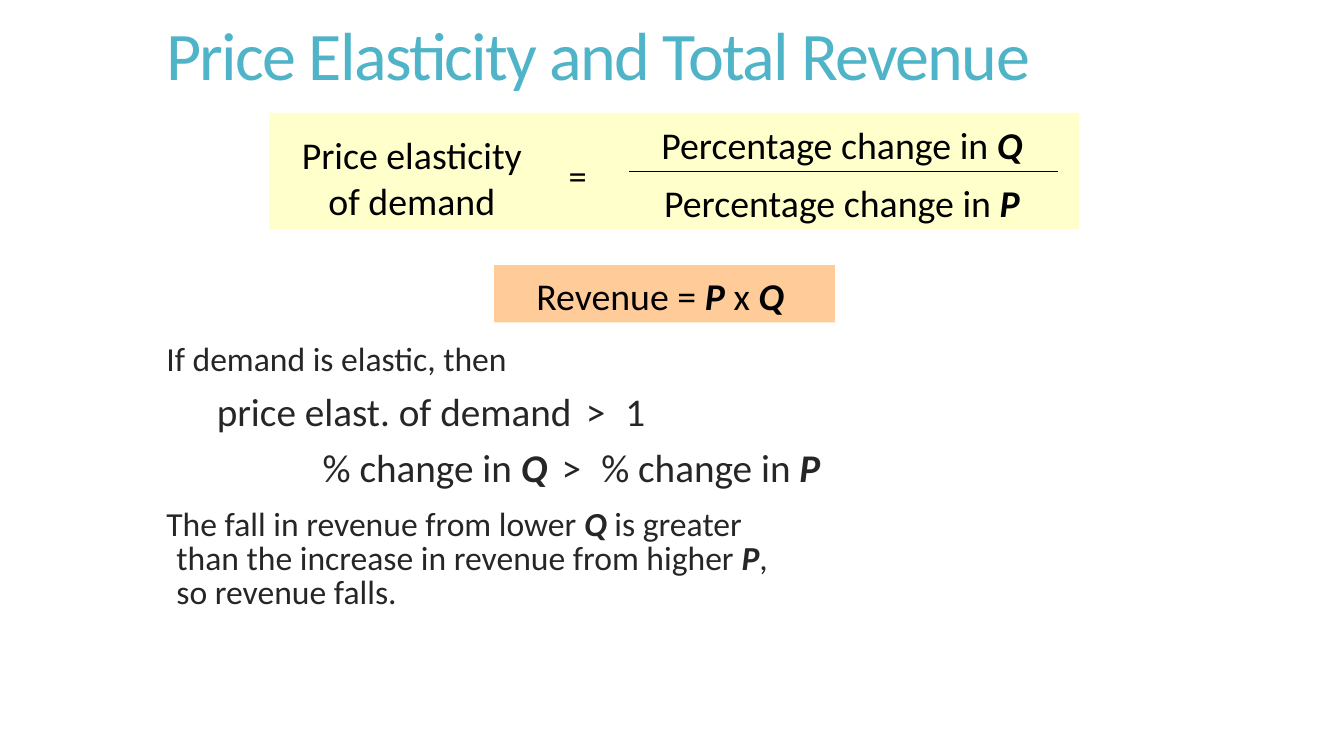
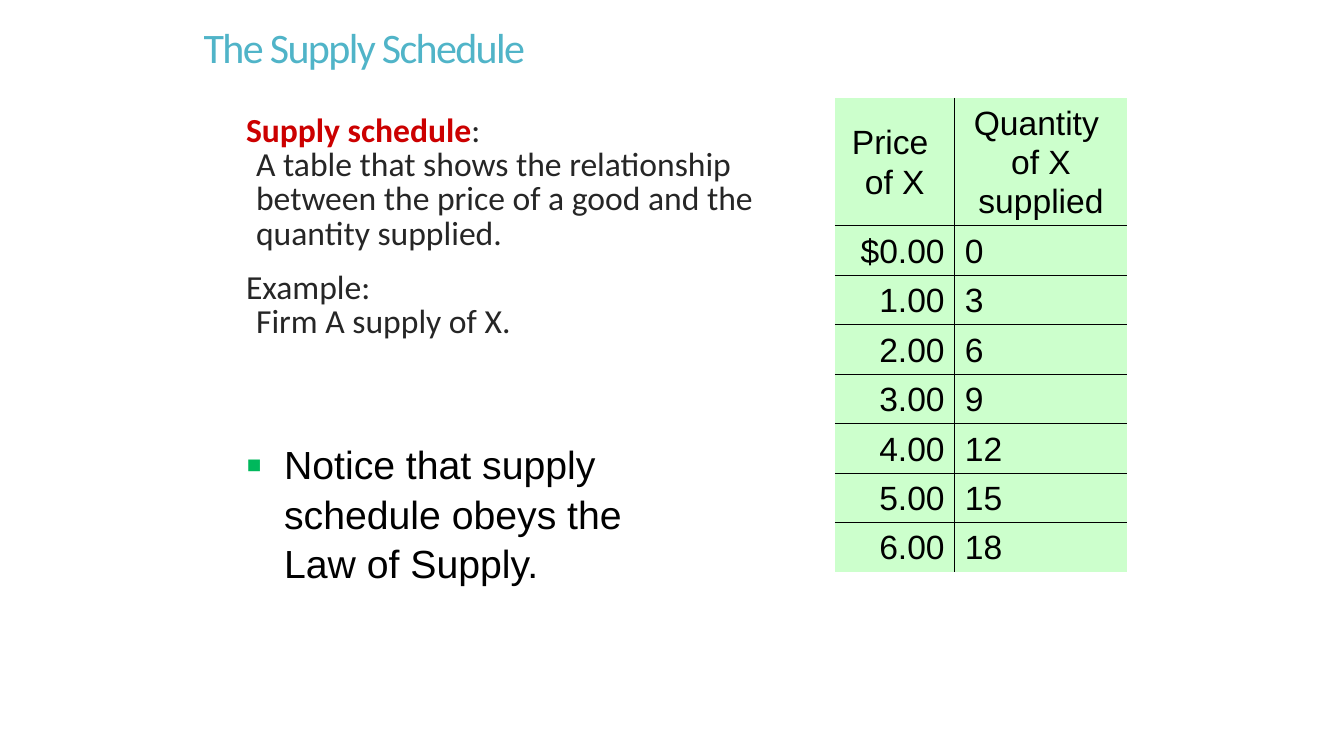
import pptx
import pptx.util
import pptx.dml.color
import pptx.enum.shapes
import pptx.enum.text
import pptx.oxml.ns
from dataclasses import dataclass
from lxml import etree

Inches = pptx.util.Inches
Pt = pptx.util.Pt
Rgb = pptx.dml.color.RGBColor.from_string
Align = pptx.enum.text.PP_ALIGN
Anchor = pptx.enum.text.MSO_ANCHOR
Kind = pptx.enum.shapes.MSO_SHAPE
qn = pptx.oxml.ns.qn


@dataclass(frozen=True)
class Theme:
    font: str = "Calibri"
    plain: str = "Arial"
    title: str = "50B4C8"
    body: str = "262626"
    ink: str = "000000"
    key: str = "CC0000"
    mark: str = "00B85C"
    cream: str = "FFFFCC"
    peach: str = "FFCC99"
    mint: str = "CCFFCC"
    head: float = 48.6
    small: float = 30
    text: float = 24
    large: float = 28
    sum: float = 27
    sign: float = 26
    tight: float = 0.85
    loose: float = 1.05


T = Theme()
EM = dict(bold=True, italic=True)
GAP = dict(track=4)
KEY = dict(bold=True, color=T.key)
SUB = dict(size=T.large, line=T.loose, before=5, level=1)

RULES = [
    (["If demand is elastic, then"], {}),
    (["price elast. of demand", (" > ", GAP), "1"], dict(SUB, left=0.5)),
    (["% change in ", ("Q", EM), (" > ", GAP), "% change in ", ("P", EM)],
     dict(SUB, left=1.55)),
    (["The fall in revenue from lower ", ("Q ", EM),
      "is greater\nthan the increase in revenue from higher ", ("P", EM),
      ",\nso revenue falls."], dict(before=13)),
]
TERMS = [
    ([("Supply schedule", KEY),
      ":\nA table that shows the relationship between the price of a good "
      "and the quantity supplied."], {}),
    (["Example:\nFirm A supply of X."], dict(before=14.4)),
]
PARTS = [
    ((2.76, 1.26, 2.65, 1), ["Price elasticity of demand"], T.sum),
    ((5.49, 1.47, 0.48, 0.53), ["="], T.sign),
    ((6.14, 1.16, 4.42, 0.55), ["Percentage change in ", ("Q", EM)], T.sum),
    ((6.14, 1.73, 4.42, 0.55), ["Percentage change in ", ("P", EM)], T.sum),
]
REVENUE = ["Revenue = ", ("P", EM), " x ", ("Q ", EM)]
NOTICE = ["Notice that supply schedule obeys the\nLaw of Supply."]
HEADS = ("Price \nof X", "Quantity \nof X supplied")
SUPPLY = [("$0.00", "0"), ("1.00", "3"), ("2.00", "6"), ("3.00", "9"),
          ("4.00", "12"), ("5.00", "15"), ("6.00", "18")]
COLS = (1.19, 1.71)
TALL, LOW = 1.27, 0.49


def write(para, bits, size=T.text, color=T.ink, font=T.font, align=Align.LEFT,
          line=1.0, before=0, left=0, hang=0, level=0, bullet=None, track=0):
    para.level = level
    para.alignment = align
    para.line_spacing = line
    para.space_before = Pt(before)
    para.space_after = Pt(0)
    props = para._p.get_or_add_pPr()
    props.set("marL", str(Inches(left)))
    props.set("indent", str(Inches(-hang)))
    if bullet:
        tint = etree.SubElement(props, qn("a:buClr"))
        etree.SubElement(tint, qn("a:srgbClr"), val=T.mark)
        etree.SubElement(props, qn("a:buSzPct"), val="120000")
        etree.SubElement(props, qn("a:buFont"), typeface=T.plain)
        etree.SubElement(props, qn("a:buChar"), char=bullet)
    else:
        etree.SubElement(props, qn("a:buNone"))
    for bit in bits:
        words, style = (bit, {}) if isinstance(bit, str) else bit
        for i, part in enumerate(words.split("\n")):
            if i:
                para.add_line_break()
            run = para.add_run()
            run.text = part
            face = run.font
            face.name, face.size = font, Pt(size)
            face.bold = style.get("bold", False)
            face.italic = style.get("italic", False)
            face.color.rgb = Rgb(style.get("color", color))
            space = style.get("track", track)
            if space:
                run._r.get_or_add_rPr().set("spc", str(round(space * 100)))


def place(shape, area):
    shape.left, shape.top, shape.width, shape.height = map(Inches, area)


def setup(shape, anchor=Anchor.TOP):
    frame = shape.text_frame
    frame.word_wrap = True
    frame.auto_size = pptx.enum.text.MSO_AUTO_SIZE.NONE
    frame.vertical_anchor = anchor
    return frame


def page(deck, title, area, size, anchor, paras, box):
    slide = deck.slides.add_slide(deck.slide_layouts[1])
    head, body = slide.placeholders
    place(head, area)
    write(setup(head, anchor).paragraphs[0], [title], size=size,
          color=T.title, line=T.tight, track=-1.2)
    place(body, box)
    frame = setup(body)
    for i, (bits, style) in enumerate(paras):
        para = frame.add_paragraph() if i else frame.paragraphs[0]
        base = dict(color=T.body, line=T.tight, left=0.1, hang=0.1)
        if "left" in style:
            base["hang"] = 0
        write(para, bits, **{**base, **style})
    return slide


def label(shapes, area, bits, **style):
    box = shapes.add_textbox(*map(Inches, area))
    write(setup(box).paragraphs[0], bits, **style)


def block(shapes, area, fill):
    rect = shapes.add_shape(Kind.RECTANGLE, *map(Inches, area))
    rect.shadow.inherit = False
    rect.fill.solid()
    rect.fill.fore_color.rgb = Rgb(fill)
    rect.line.fill.background()
    return rect


def ratio(slide):
    shapes = slide.shapes.add_group_shape().shapes
    block(shapes, (2.67, 1.12, 8.03, 1.15), T.cream)
    for area, bits, size in PARTS:
        label(shapes, area, bits, size=size, align=Align.CENTER)
    bar = shapes.add_connector(pptx.enum.shapes.MSO_CONNECTOR.STRAIGHT,
                               *map(Inches, (6.24, 1.7, 10.49, 1.7)))
    bar.line.color.rgb = Rgb(T.ink)
    bar.line.width = Pt(1)
    etree.SubElement(bar._element.spPr, qn("a:effectLst"))


def edge(cell, sides):
    props = cell._tc.get_or_add_tcPr()
    for side, shown in sides.items():
        line = etree.SubElement(props, qn("a:ln" + side), w=str(Pt(1)))
        if shown:
            fill = etree.SubElement(line, qn("a:solidFill"))
            etree.SubElement(fill, qn("a:srgbClr"), val=T.ink)
        else:
            etree.SubElement(line, qn("a:noFill"))


def grid(slide):
    rows = [HEADS, *SUPPLY]
    last, end = len(rows) - 1, len(COLS) - 1
    area = (8.28, 0.97, sum(COLS), TALL + last * LOW)
    table = slide.shapes.add_table(len(rows), len(COLS),
                                   *map(Inches, area)).table
    table.first_row = table.horz_banding = False
    for c, wide in enumerate(COLS):
        table.columns[c].width = Inches(wide)
    for r, row in enumerate(rows):
        table.rows[r].height = Inches(LOW if r else TALL)
        for c, words in enumerate(row):
            cell = table.cell(r, c)
            edge(cell, dict(L=c > 0, R=c < end, T=r > 0, B=r < last))
            cell.fill.solid()
            cell.fill.fore_color.rgb = Rgb(T.mint)
            cell.vertical_anchor = Anchor.MIDDLE
            side = (Align.RIGHT, Align.LEFT)[c] if r else Align.CENTER
            write(cell.text_frame.paragraphs[0], [words], font=T.plain,
                  align=side, line=T.loose)


def main():
    deck = pptx.Presentation()
    deck.slide_width, deck.slide_height = Inches(13.33), Inches(7.5)

    slide = page(deck, "Price Elasticity and Total Revenue",
                 (1.55, 0.24, 9.62, 0.71), T.head, Anchor.MIDDLE,
                 RULES, (1.55, 3.36, 9.64, 3.65))
    rect = block(slide.shapes, (4.9, 2.63, 3.38, 0.57), T.peach)
    write(setup(rect).paragraphs[0], REVENUE, size=T.sum,
          align=Align.CENTER, line=T.loose)
    ratio(slide)

    slide = page(deck, "The Supply Schedule", (1.92, 0.24, 9.5, 0.65),
                 T.small, Anchor.TOP, TERMS, (2.34, 1.09, 5.52, 3.86))
    label(slide.shapes, (2.34, 4.3, 5.29, 1.7), NOTICE, size=T.large,
          font=T.plain, line=T.loose, left=0.38, hang=0.38, bullet="▪")
    grid(slide)

    deck.save("out.pptx")


if __name__ == "__main__":
    main()
